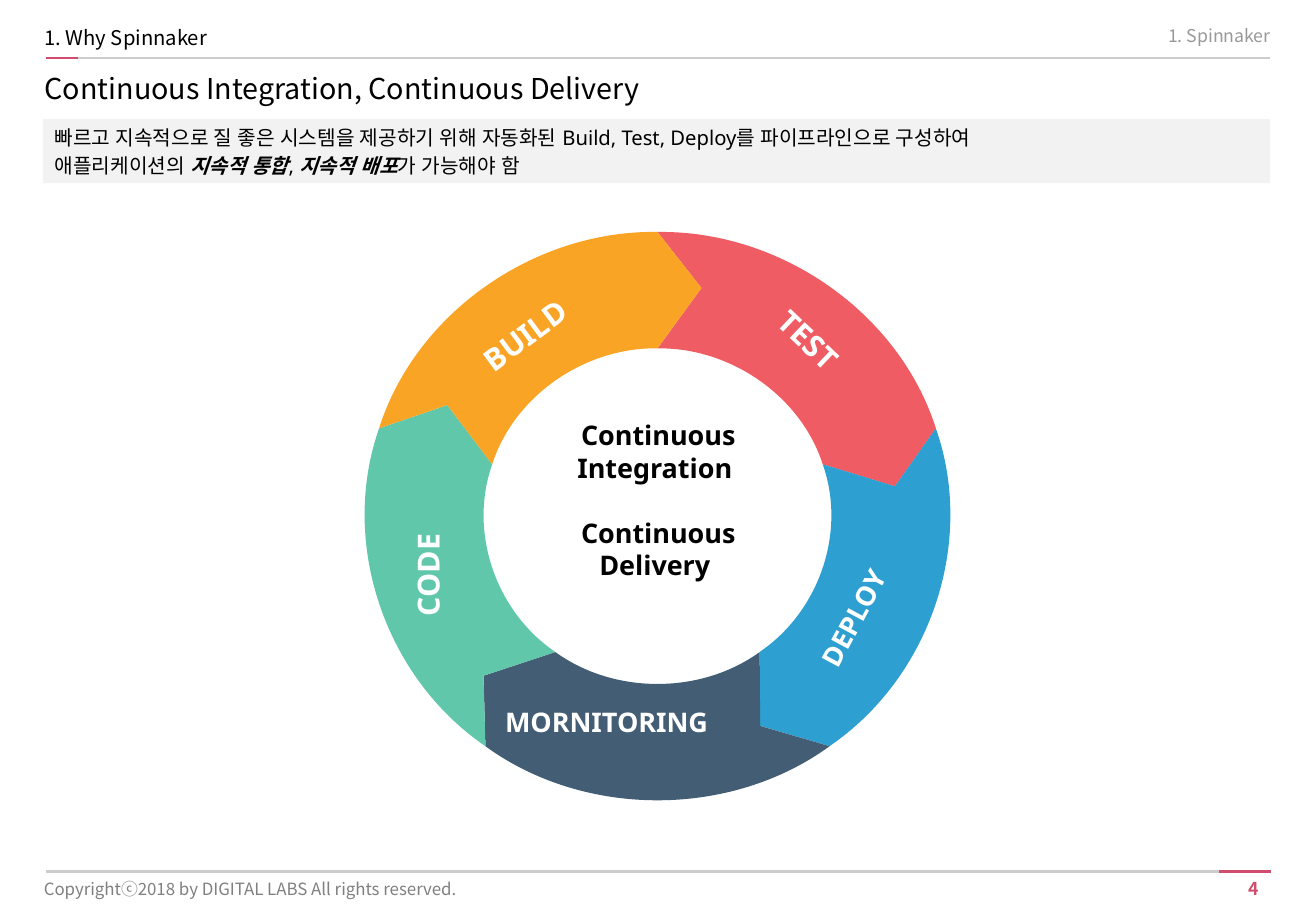
from dataclasses import dataclass
from math import cos, radians, sin

from lxml.etree import SubElement
from pptx import Presentation
from pptx.dml.color import RGBColor
from pptx.enum.shapes import MSO_CONNECTOR, MSO_SHAPE
from pptx.enum.text import MSO_ANCHOR, MSO_AUTO_SIZE, PP_ALIGN
from pptx.oxml.ns import qn
from pptx.util import Pt

COLOURS = {
    "black": "000000", "white": "FFFFFF", "band": "F2F2F2", "rule": "CCCCCC",
    "accent": "D04D6F", "section": "999999", "footer": "808080",
    "test": "EF5C63", "deploy": "2DA0D1", "monitoring": "435D74",
    "code": "60C7AB", "build": "FAA426",
}
SANS = "Noto Sans"
CJK = "Noto Sans CJK JP"

CENTRE = (389.7, 306)
OUTER = (173.5, 168.5)
INNER = (103, 99.5)
TIP = (141.9, 137.6)
SECTOR = 72
TIP_LEAD = 10.6


@dataclass
class Rule:
    left: float
    right: float
    top: float
    colour: str


@dataclass
class Stage:
    """One arrow of the ring and the box of its label."""
    name: str
    colour: str
    left: float
    top: float
    width: float
    height: float
    rotation: float
    size: float


@dataclass
class Label:
    text: str
    left: float
    top: float
    width: float
    height: float
    size: float
    colour: str
    bold: bool = False
    align: PP_ALIGN = PP_ALIGN.LEFT
    anchor: MSO_ANCHOR = MSO_ANCHOR.TOP


RULES = [
    Rule(27.4, 753, 34.5, "rule"),
    Rule(27.4, 46, 34.5, "accent"),
    Rule(27.4, 753, 516.7, "rule"),
    Rule(722.7, 753.5, 516.7, "accent"),
]
STAGES = [
    Stage("TEST", "test", 447.8, 190.8, 68.4, 34.6, 43.5, 18),
    Stage("DEPLOY", "deploy", 465.8, 344.2, 92.9, 32.4, 298.3, 16),
    Stage("MORNITORING", "monitoring", 292.3, 414.7, 167, 31.7, 0, 16),
    Stage("CODE", "code", 218.2, 316.1, 77, 35.3, 270, 18),
    Stage("BUILD", "build", 275.8, 178.6, 87.1, 34.6, 323.3, 18),
]
LABELS = [
    Label("1. Why Spinnaker", 26.4, 14.7, 420, 22, 12, "black"),
    Label("1. Spinnaker", 452.4, 14.9, 300.6, 22, 10.5, "section",
          align=PP_ALIGN.RIGHT),
    Label("Copyrightⓒ2018 by DIGITAL LABS All rights reserved.", 26, 514.8,
          396, 24.5, 10, "footer", anchor=MSO_ANCHOR.MIDDLE),
    Label("4", 705, 520.3, 41, 19, 10.5, "accent", True, PP_ALIGN.RIGHT),
]
SUMMARY = [
    [("빠르고 지속적으로 질 좋은 시스템을 제공하기 위해 자동화된 "
      "Build, Test, Deploy를 파이프라인으로 구성하여", False)],
    [("애플리케이션의 ", False), ("지속적 통합", True), (", ", False),
     ("지속적 배포", True), ("가 가능해야 함", False)],
]


def colour_of(name: str) -> RGBColor:
    return RGBColor.from_string(COLOURS[name])


def add_span(para, text: str, *, size: float, colour: str, font: str = SANS,
             bold: bool = False, italic: bool = False) -> None:
    span = para.add_run()
    span.text = text
    span.font.size = Pt(size)
    span.font.name = font
    span.font.bold = bold
    span.font.italic = italic
    span.font.color.rgb = colour_of(colour)
    SubElement(span.font._element, qn("a:ea"), typeface=font)


def format_para(para, align: PP_ALIGN = PP_ALIGN.LEFT, before: float = 0):
    para.alignment = align
    para.line_spacing = 1.0
    para.space_before = Pt(before)
    return para


def format_frame(box, sides: float = 0, ends: float = 0,
                 anchor: MSO_ANCHOR = MSO_ANCHOR.TOP):
    frame = box.text_frame
    frame.word_wrap = True
    frame.auto_size = MSO_AUTO_SIZE.NONE
    frame.vertical_anchor = anchor
    frame.margin_left = frame.margin_right = Pt(sides)
    frame.margin_top = frame.margin_bottom = Pt(ends)
    return frame


def add_box(page, left: float, top: float, width: float, height: float):
    return page.shapes.add_textbox(Pt(left), Pt(top), Pt(width), Pt(height))


def paint(shape, colour: str) -> None:
    shape.shadow.inherit = False
    shape.fill.solid()
    shape.fill.fore_color.rgb = colour_of(colour)
    shape.line.fill.background()


def add_rule(page, rule: Rule) -> None:
    line = page.shapes.add_connector(MSO_CONNECTOR.STRAIGHT, Pt(rule.left),
                                     Pt(rule.top), Pt(rule.right), Pt(rule.top))
    line.line.color.rgb = colour_of(rule.colour)
    line.line.width = Pt(1.5)
    SubElement(line._element.spPr, qn("a:effectLst"))


def add_label(page, label: Label) -> None:
    box = add_box(page, label.left, label.top, label.width, label.height)
    frame = format_frame(box, anchor=label.anchor)
    add_span(format_para(frame.paragraphs[0], label.align), label.text,
             size=label.size, colour=label.colour, font=CJK, bold=label.bold)


def set_title(page, text: str) -> None:
    title = page.shapes.title
    title.left, title.top, title.width, title.height = (
        Pt(26.4), Pt(38.2), Pt(726.6), Pt(31))
    frame = format_frame(title, ends=3.6)
    add_span(format_para(frame.paragraphs[0]), text, size=17, colour="black",
             font=CJK)


def add_summary(page) -> None:
    band = page.shapes.add_shape(MSO_SHAPE.RECTANGLE, Pt(25.4), Pt(70.6),
                                 Pt(727.4), Pt(38))
    paint(band, "band")
    frame = format_frame(band, sides=7, anchor=MSO_ANCHOR.MIDDLE)
    for index, spans in enumerate(SUMMARY):
        para = frame.add_paragraph() if index else frame.paragraphs[0]
        format_para(para, before=2.4 * index)
        for text, strong in spans:
            add_span(para, text, size=12, colour="black", bold=strong,
                     italic=strong)


def ring_point(radii: tuple[float, float], angle: float) -> tuple[int, int]:
    """Point on an ellipse of the ring, in degrees clockwise from the top."""
    turn = radians(angle)
    return (Pt(CENTRE[0] + radii[0] * sin(turn)),
            Pt(CENTRE[1] - radii[1] * cos(turn)))


def bend(start, segments) -> None:
    """Join three line segments into one curve through the same points."""
    first, second, last = (segment[0] for segment in segments)
    for axis in ("x", "y"):
        a, b, c, d = (int(point.get(axis))
                      for point in (start, first, second, last))
        first.set(axis, str(round((-5 * a + 18 * b - 9 * c + 2 * d) / 6)))
        second.set(axis, str(round((2 * a - 9 * b + 18 * c - 5 * d) / 6)))
    curve = segments[0].getparent().makeelement(qn("a:cubicBezTo"))
    segments[0].addprevious(curve)
    curve.extend([first, second, last])
    for segment in segments:
        segment.getparent().remove(segment)


def add_arrow(page, start: int, colour: str) -> None:
    end, step = start + SECTOR, SECTOR // 3
    outline = [ring_point(OUTER, angle) for angle in range(start, end + 1, step)]
    outline.append(ring_point(TIP, end + TIP_LEAD))
    outline += [ring_point(INNER, angle)
                for angle in range(end, start - 1, -step)]
    outline.append(ring_point(TIP, start + TIP_LEAD))
    builder = page.shapes.build_freeform(*outline[0])
    builder.add_line_segments(outline[1:])
    arrow = builder.convert_to_shape()
    steps = list(next(arrow._element.iter(qn("a:path"))))
    for first in (0, 5):
        bend(steps[first][0], steps[first + 1:first + 4])
    paint(arrow, colour)


def add_stage_name(page, stage: Stage) -> None:
    box = add_box(page, stage.left, stage.top, stage.width, stage.height)
    box.rotation = stage.rotation
    frame = format_frame(box, 7.2, 3.6)
    add_span(format_para(frame.paragraphs[0]), stage.name, size=stage.size,
             colour="white", bold=True)


def add_hub(page) -> None:
    frame = format_frame(add_box(page, 313.2, 244.8, 154, 124.6), 7.2, 3.6)
    for index, text in enumerate(["Continuous Integration ",
                                  "Continuous Delivery "]):
        para = frame.add_paragraph() if index else frame.paragraphs[0]
        format_para(para, PP_ALIGN.CENTER, 19.3 * index)
        add_span(para, text, size=16, colour="black", bold=True)


def main() -> None:
    deck = Presentation()
    deck.slide_width, deck.slide_height = Pt(780), Pt(540)
    page = deck.slides.add_slide(deck.slide_layouts[5])
    for rule in RULES:
        add_rule(page, rule)
    set_title(page, "Continuous Integration, Continuous Delivery")
    add_summary(page)
    for index, stage in enumerate(STAGES):
        add_arrow(page, index * SECTOR, stage.colour)
    for stage in STAGES:
        add_stage_name(page, stage)
    add_hub(page)
    for label in LABELS:
        add_label(page, label)
    deck.save("out.pptx")


if __name__ == "__main__":
    main()
